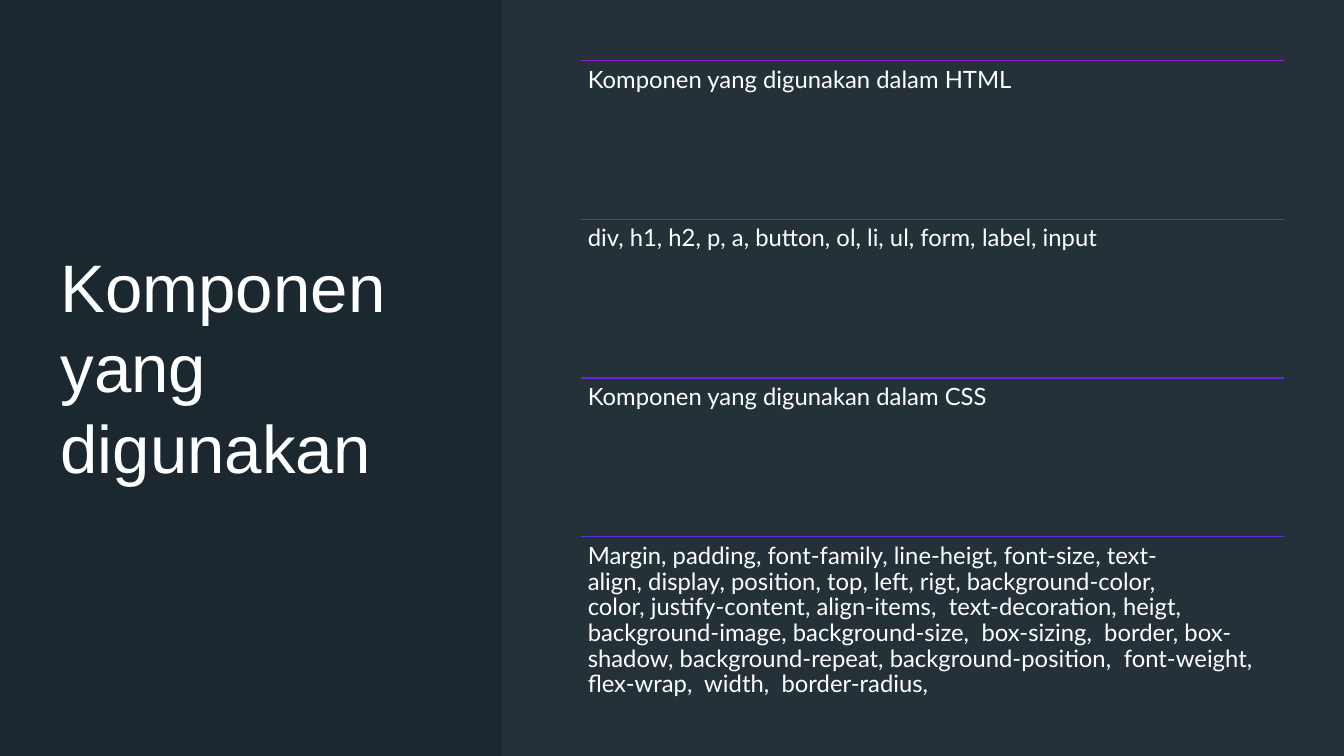
from lxml import etree
from pptx import Presentation
from pptx import util as u
from pptx.dml.color import RGBColor
from pptx.enum import shapes, text
from pptx.oxml.ns import qn

NAVY = RGBColor(0x1B, 0x28, 0x30)
MIST = RGBColor(0xE3, 0xEB, 0xEF)
WHITE = RGBColor(0xFF, 0xFF, 0xFF)
PURPLE = RGBColor(0x8D, 0x20, 0xCC)
VIOLET = RGBColor(0x7B, 0x22, 0xD6)
INDIGO = RGBColor(0x68, 0x27, 0xDD)
BLUE = RGBColor(0x58, 0x32, 0xDE)

WIDTH, HEIGHT = 13.33, 7.5
LIST_LEFT, LIST_TOP, LIST_WIDTH, LIST_HEIGHT = 5.76, 0.6, 6.97, 6.3

TITLE_FORMAT = {"name": "Arial", "size": u.Pt(48)}
BODY_FORMAT = {"name": "Lato", "size": u.Pt(17)}

# A tilde stands for a no-break space
NO_BREAK_SPACE = chr(160)
COMPONENTS = [
    (PURPLE, "Komponen yang digunakan dalam HTML"),
    (VIOLET, "div, h1, h2, p, a, button, ol, li, ul, form,~label, input"),
    (INDIGO, "Komponen yang digunakan dalam CSS"),
    (BLUE, "Margin, padding,~font-family,~line-heigt, font-size, text-align,~display, "
           "position,~top, left, rigt, background-color, color,~justify-content, "
           "align-items,~ text-decoration,~heigt, background-image, background-size,~ "
           "box-sizing,~ border, box-shadow,~background-repeat, background-position,~ "
           "font-weight, flex-wrap,~ width,~ border-radius,~"),
]


class Deck:
    def __init__(self):
        self.prs = Presentation()
        self.prs.slide_width = u.Inches(WIDTH)
        self.prs.slide_height = u.Inches(HEIGHT)
        self.s = self.prs.slides.add_slide(self.prs.slide_layouts[6])
        fill = self.s.background.fill
        fill.solid()
        fill.fore_color.rgb = NAVY

    def panel(self, x, y, w, h, color, opacity=100):
        sp = self.s.shapes.add_shape(
            shapes.MSO_SHAPE.RECTANGLE, *map(u.Inches, (x, y, w, h)))
        sp.shadow.inherit = False
        sp.line.fill.background()
        sp.fill.solid()
        sp.fill.fore_color.rgb = color
        if opacity < 100:
            clr = sp.fill._xPr.find(qn("a:solidFill"))[0]
            etree.SubElement(clr, qn("a:alpha"), val=str(opacity * 1000))

    def rule(self, x, y, w, color):
        ln = self.s.shapes.add_connector(
            shapes.MSO_CONNECTOR.STRAIGHT, *map(u.Inches, (x, y, x + w, y)))
        ln.line.color.rgb = color
        ln.line.width = u.Pt(1)
        etree.SubElement(ln._element.spPr, qn("a:effectLst"))

    def text(self, x, y, w, h, words, font, inset=0, spacing=1.0,
             anchor=text.MSO_ANCHOR.TOP):
        tf = self.s.shapes.add_textbox(*map(u.Inches, (x, y, w, h))).text_frame
        tf.word_wrap = True
        tf.vertical_anchor = anchor
        for side in ("left", "top", "right", "bottom"):
            setattr(tf, f"margin_{side}", u.Inches(inset))
        p = tf.paragraphs[0]
        p.line_spacing = spacing
        r = p.add_run()
        r.text = words.replace("~", NO_BREAK_SPACE)
        for key, value in font.items():
            setattr(r.font, key, value)
        r.font.color.rgb = WHITE


def main():
    deck = Deck()

    # Backdrop and title
    deck.panel(0, 0, WIDTH, HEIGHT, NAVY)
    deck.text(0.6, 0.6, 3.9, 6.06, "Komponen yang digunakan", TITLE_FORMAT,
              anchor=text.MSO_ANCHOR.MIDDLE)

    # Lighter panel with the ruled list
    deck.panel(4.98, 0, WIDTH - 4.98, HEIGHT, MIST, opacity=5)
    row_height = LIST_HEIGHT / len(COMPONENTS)
    for i, (color, words) in enumerate(COMPONENTS):
        y = LIST_TOP + i * row_height
        deck.rule(LIST_LEFT, y, LIST_WIDTH, color)
        deck.text(LIST_LEFT, y, LIST_WIDTH, row_height, words, BODY_FORMAT,
                  inset=0.07, spacing=0.9)

    deck.prs.save("out.pptx")


if __name__ == "__main__":
    main()
